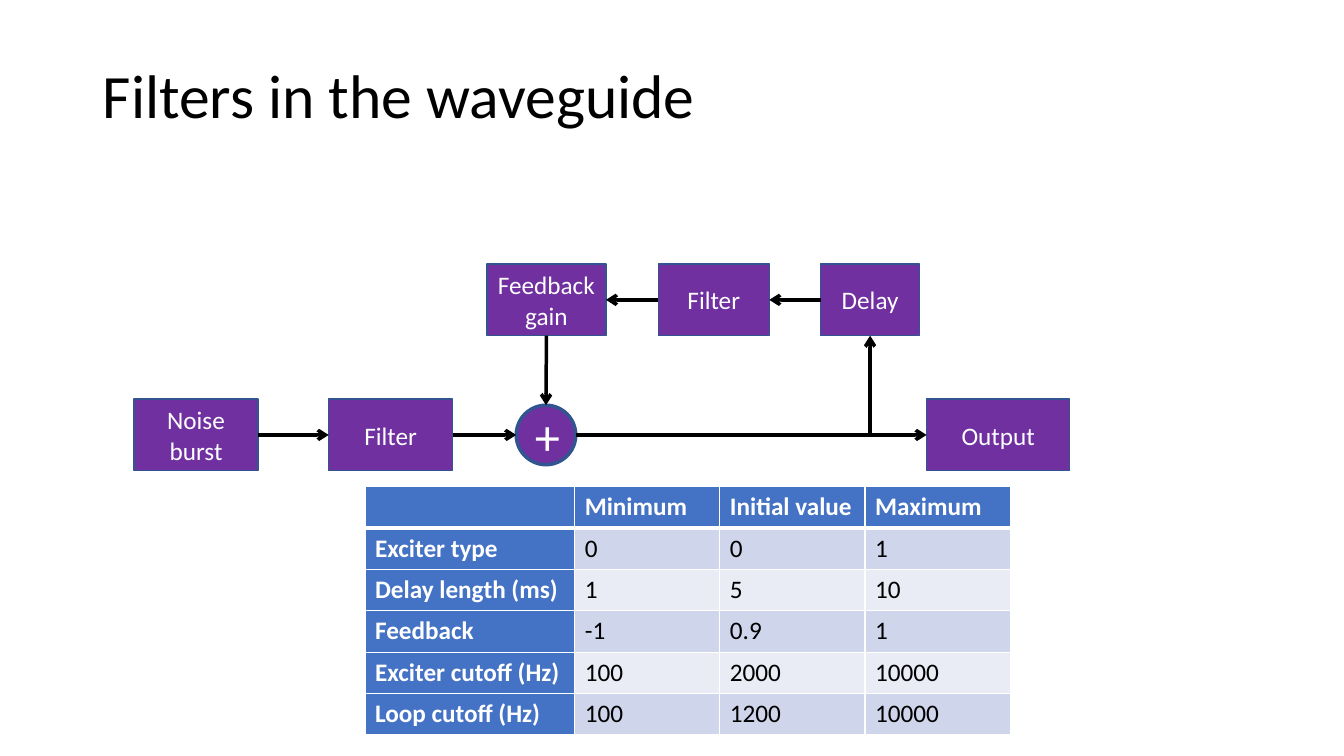
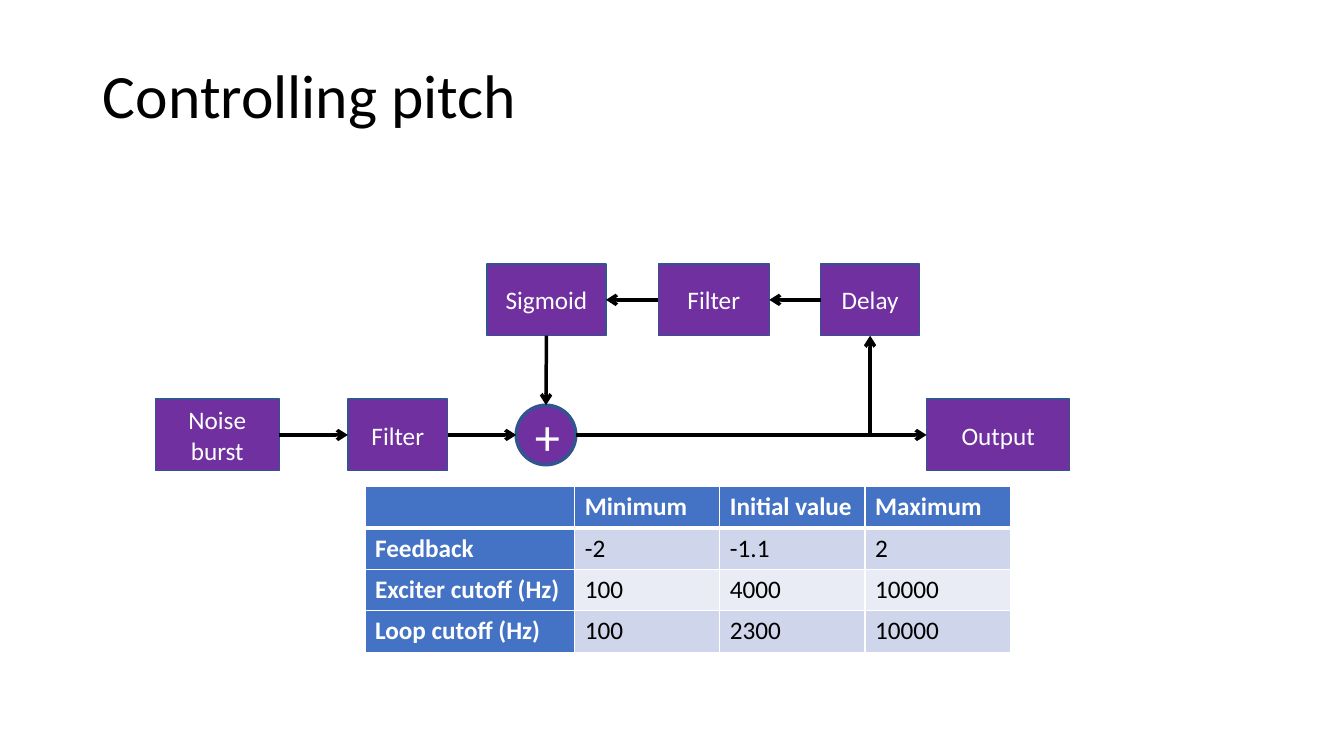
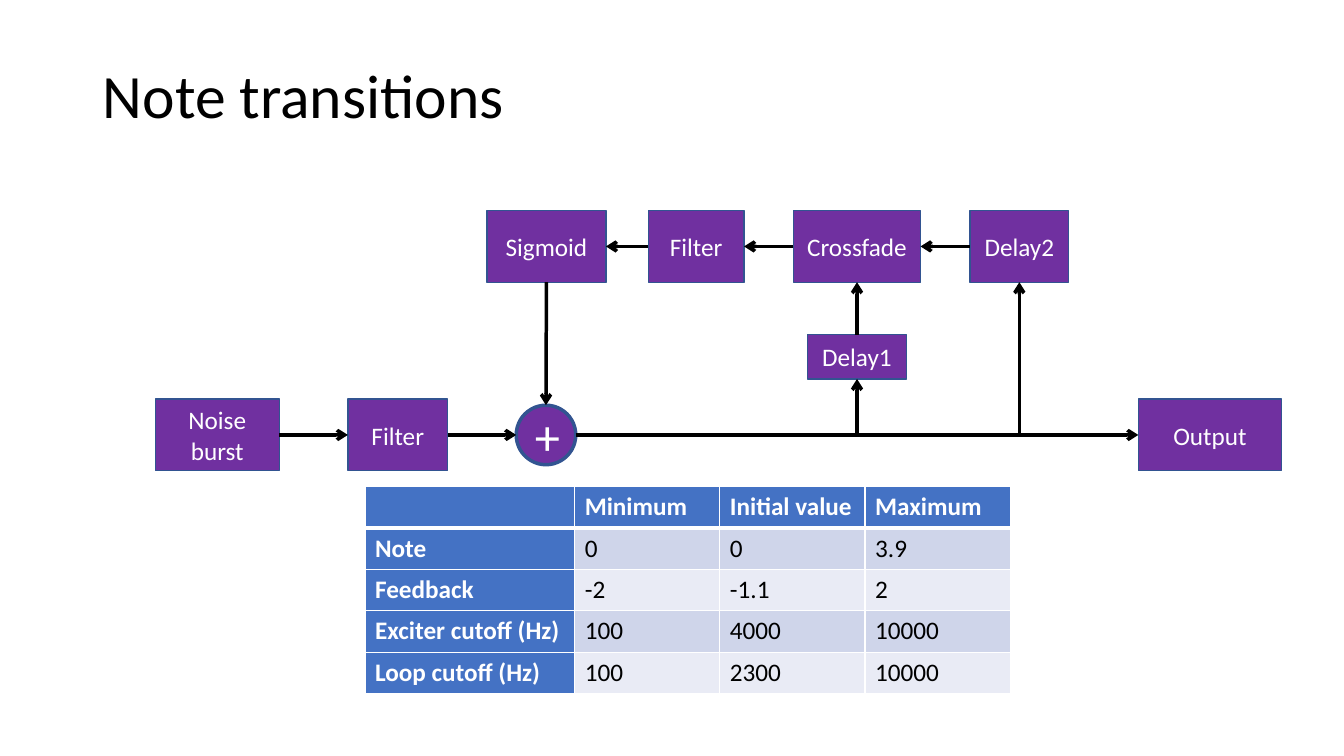
"""Build three slides on waveguide filters, pitch and note transitions."""
from lxml import etree
from pptx import Presentation
from pptx.dml.color import RGBColor
from pptx.enum.shapes import MSO_CONNECTOR, MSO_SHAPE
from pptx.enum.text import MSO_ANCHOR, PP_ALIGN
from pptx.oxml.ns import qn
from pptx.util import Inches, Pt

RECT, OVAL = MSO_SHAPE.RECTANGLE, MSO_SHAPE.OVAL
LINE = MSO_CONNECTOR.STRAIGHT
LEFT, MID = PP_ALIGN.LEFT, PP_ALIGN.CENTER
CENTER = MSO_ANCHOR.MIDDLE

BLACK = RGBColor(0x00, 0x00, 0x00)
WHITE = RGBColor(0xFF, 0xFF, 0xFF)
PURPLE = RGBColor(0x70, 0x30, 0xA0)
EDGE = RGBColor(0x32, 0x54, 0x91)
BLUE = RGBColor(0x44, 0x72, 0xC4)
BANDS = RGBColor(0xCF, 0xD5, 0xEA), RGBColor(0xE9, 0xEB, 0xF5)

FONT = "Calibri"
TALL = 0.71
FLOW = 3.96
AXIS = Inches(FLOW + TALL / 2)
COLS = (2.08, 1.44, 1.44, 1.44)
ROW = 0.41
HEAD = ("", "Minimum", "Initial value", "Maximum")


def add_run(para, text, size, color, bold=False):
    """Add one styled run to a paragraph."""
    run = para.add_run()
    run.text = text
    font = run.font
    font.name, font.size, font.bold = FONT, Pt(size), bold
    font.color.rgb = color


def add_title(slide, text):
    """Fill the title placeholder."""
    frame = slide.shapes.title.text_frame
    frame.vertical_anchor = CENTER
    para = frame.paragraphs[0]
    para.alignment, para.line_spacing = LEFT, 0.9
    add_run(para, text, 44, BLACK)


def add_box(slide, text, left, width, top, height=TALL, kind=RECT, size=18, line=1):
    """Draw a purple block with one paragraph per text line."""
    box = slide.shapes.add_shape(
        kind, Inches(left), Inches(top), Inches(width), Inches(height))
    box.shadow.inherit = False
    box.fill.solid()
    box.fill.fore_color.rgb = PURPLE
    box.line.color.rgb, box.line.width = EDGE, Pt(line)
    frame = box.text_frame
    frame.word_wrap, frame.vertical_anchor = True, CENTER
    for num, words in enumerate(text.split("\n")):
        para = frame.add_paragraph() if num else frame.paragraphs[0]
        para.alignment = MID
        add_run(para, words, size, WHITE)
    return box


def add_wire(slide, start, end):
    """Draw an arrow between two points."""
    wire = slide.shapes.add_connector(LINE, *start, *end)
    wire.line.color.rgb, wire.line.width = BLACK, Pt(2.5)
    props = wire.line._get_or_add_ln()
    etree.SubElement(props, qn("a:tailEnd"), type="arrow")
    etree.SubElement(props.getparent(), qn("a:effectLst"))


def center(box):
    """Return the middle point of a block."""
    return box.left + box.width // 2, box.top + box.height // 2


def join(slide, src, dst):
    """Link the facing sides of two blocks."""
    (sx, sy), (dx, dy) = center(src), center(dst)
    if abs(sy - dy) < Inches(0.1):
        way = 1 if dx > sx else -1
        start = sx + way * src.width // 2, sy
        end = dx - way * dst.width // 2, sy
    else:
        way = 1 if dy > sy else -1
        start = sx, sy + way * src.height // 2
        end = dx, dy - way * dst.height // 2
    add_wire(slide, start, end)


def add_chain(slide, boxes):
    """Link blocks in signal order."""
    for src, dst in zip(boxes, boxes[1:]):
        join(slide, src, dst)


def add_tap(slide, box):
    """Lead the main signal up into a block."""
    mid = center(box)[0]
    add_wire(slide, (mid, AXIS), (mid, box.top + box.height))


def add_loop(slide, feed, out, back, top):
    """Draw the main path and its feedback loop, and return the loop blocks."""
    ring = add_box(slide, "+", 5.12, 0.59, 4.02, 0.59, OVAL, 36, 2.5)
    flow = [add_box(slide, *item, FLOW) for item in feed]
    end = add_box(slide, "Output", out, 1.42, FLOW)
    add_chain(slide, flow + [ring, end])
    loop = [add_box(slide, *item, top) for item in back]
    add_chain(slide, loop + [ring])
    add_tap(slide, loop[0])
    return loop


def add_edge(cell, side, width):
    """Give one side of a cell a white border."""
    props = cell._tc.get_or_add_tcPr()
    edge = etree.SubElement(props, qn("a:" + side), w=str(Pt(width)))
    fill = etree.SubElement(edge, qn("a:solidFill"))
    etree.SubElement(fill, qn("a:srgbClr"), val=str(WHITE))


def add_grid(slide, rows):
    """Draw the table of parameter ranges."""
    rows = [HEAD, *rows]
    grid = slide.shapes.add_table(
        len(rows), len(COLS), Inches(3.62), Inches(4.83),
        Inches(sum(COLS)), Inches(ROW * len(rows))).table
    grid.first_col = True
    for col, width in zip(grid.columns, COLS):
        col.width = Inches(width)
    for r, row in enumerate(rows):
        grid.rows[r].height = Inches(ROW)
        for c, text in enumerate(row):
            cell, head = grid.cell(r, c), r == 0 or c == 0
            for side in ("lnL", "lnR", "lnT", "lnB"):
                thick = (r, side) in ((0, "lnB"), (1, "lnT"))
                add_edge(cell, side, 3 if thick else 1)
            cell.fill.solid()
            cell.fill.fore_color.rgb = BLUE if head else BANDS[(r - 1) % 2]
            if text:
                add_run(cell.text_frame.paragraphs[0], text, 18,
                        WHITE if head else BLACK, head)


def main():
    """Build and save the deck."""
    deck = Presentation()
    deck.slide_width, deck.slide_height = Inches(13.33), Inches(7.5)
    layout = deck.slide_layouts[5]
    head = layout.placeholders[0]
    head.left, head.top = Inches(0.92), Inches(0.4)
    head.width, head.height = Inches(11.5), Inches(1.16)

    def start(title):
        """Add a titled slide."""
        slide = deck.slides.add_slide(layout)
        add_title(slide, title)
        return slide

    feed = [("Noise\nburst", 1.54, 1.23), ("Filter", 3.45, 0.99)]
    back = [("Delay", 8.14, 0.98), ("Filter", 6.53, 1.1)]
    sigmoid = ("Sigmoid", 4.83, 1.18)
    ranges = [("Feedback", "-2", "-1.1", "2"),
              ("Exciter cutoff (Hz)", "100", "4000", "10000"),
              ("Loop cutoff (Hz)", "100", "2300", "10000")]

    slide = start("Filters in the waveguide")
    add_grid(slide, [("Exciter type", "0", "0", "1"),
                     ("Delay length (ms)", "1", "5", "10"),
                     ("Feedback", "-1", "0.9", "1"),
                     ("Exciter cutoff (Hz)", "100", "2000", "10000"),
                     ("Loop cutoff (Hz)", "100", "1200", "10000")])
    add_loop(slide, [("Noise\nburst", 1.33, 1.23), ("Filter", 3.26, 1.23)],
             9.19, back + [("Feedback\ngain", 4.83, 1.18)], 2.62)

    slide = start("Controlling pitch")
    add_grid(slide, ranges)
    add_loop(slide, feed, 9.19, back + [sigmoid], 2.62)

    slide = start("Note transitions")
    add_grid(slide, [("Note", "0", "0", "3.9"), *ranges])
    loop = add_loop(slide, feed, 11.29,
                    [("Delay2", 9.62, 0.98), ("Crossfade", 7.87, 1.26),
                     ("Filter", 6.43, 0.95), sigmoid], 2.09)
    delay = add_box(slide, "Delay1", 8.01, 0.98, 3.32, 0.44)
    add_tap(slide, delay)
    join(slide, delay, loop[1])

    deck.save("out.pptx")


if __name__ == "__main__":
    main()
